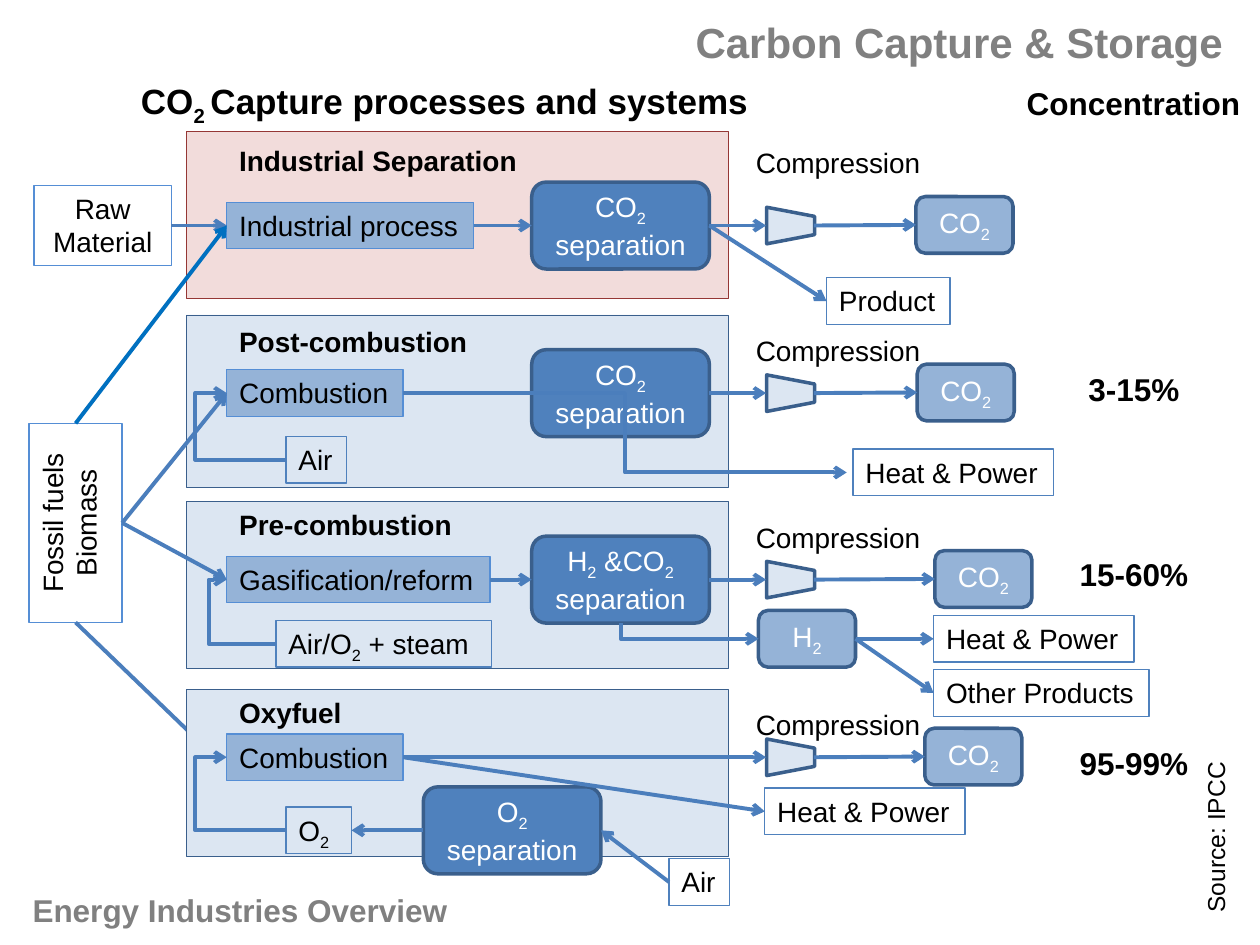
import pptx
import pptx.dml.color
import pptx.enum.shapes
import pptx.enum.text
import pptx.oxml.ns
import pptx.util
from lxml import etree

Inches, Pt = pptx.util.Inches, pptx.util.Pt
KIND = pptx.enum.shapes.MSO_SHAPE
LINK = pptx.enum.shapes.MSO_CONNECTOR
ALIGN = pptx.enum.text.PP_ALIGN
ANCHOR = pptx.enum.text.MSO_ANCHOR
FIT = pptx.enum.text.MSO_AUTO_SIZE
qn = pptx.oxml.ns.qn

THEME = {
    "font": "Arial", "ink": "000000", "light": "FFFFFF", "grey": "808080",
    "flow": "4B7EBC", "feed": "0070C0", "flow_w": 2.25,
    "body": 16, "note": 14, "big": 18, "sub": 20, "title": 24,
}
# style: preset, fill, line, line width, text colour, centred, wrapped
STYLES = {
    "red": (KIND.RECTANGLE, "F2DCDB", "953735", 0.5, "ink", False, True),
    "blue": (KIND.RECTANGLE, "DCE6F2", "3A5F8C", 0.5, "ink", False, True),
    "step": (KIND.RECTANGLE, "95B3D7", "558ED5", 0.75, "ink", False, False),
    "plain": (KIND.RECTANGLE, None, "4F81BD", 0.75, "ink", False, False),
    "feed": (KIND.RECTANGLE, None, "558ED5", 0.75, "ink", True, True),
    "split": (KIND.ROUNDED_RECTANGLE, "4F81BD", "3A5F8C", 2, "light", True, True),
    "gas": (KIND.ROUNDED_RECTANGLE, "95B3D7", "3A5F8C", 2, "light", True, True),
    "press": (KIND.TRAPEZOID, "DCE6F2", "3A5F8C", 2, "ink", False, True),
}
HIGH = {"step": 0.37, "plain": 0.37, "split": 0.69, "gas": 0.45}
TOP, LEFT, BOTTOM, RIGHT = range(4)

# Text between tildes is subscript.
TITLE = ("Carbon Capture & Storage", 5.42, 0.08, 4.43, 0.5)
FEEDS = {
    "fossil": ("Fossil fuels Biomass", 0.23, 3.36, 0.74, 1.58),
    "raw": ("Raw Material", 0.27, 1.47, 1.09, 0.64),
}
# panel style, top, height, heading, heading top, heading width, flow centre,
# compression label top, left of CO2 box
STAGES = {
    "ind": ("red", 1.04, 1.33, "Industrial Separation", 1.09, 2.44, 1.79, 1.11, 7.27),
    "post": ("blue", 2.5, 1.37, "Post-combustion", 2.53, 2.03, 3.12, 2.6, 7.28),
    "pre": ("blue", 3.98, 1.33, "Pre-combustion", 3.98, 1.91, 4.6, 4.08, 7.42),
    "oxy": ("blue", 5.47, 1.33, "Oxyfuel", 5.47, 1.03, 6.01, 5.57, 7.34),
}
# name: style, text, left, vertical centre, width
BOXES = {
    "ind step": ("step", "Industrial process", 1.8, 1.79, 1.96),
    "post step": ("step", "Combustion", 1.8, 3.12, 1.4),
    "pre step": ("step", "Gasification/reform", 1.8, 4.6, 2.09),
    "oxy step": ("step", "Combustion", 1.8, 6.01, 1.4),
    "ind split": ("split", "CO~2~ separation", 4.22, 1.79, 1.41),
    "post split": ("split", "CO~2~ separation", 4.22, 3.12, 1.41),
    "pre split": ("split", "H~2~ &CO~2~ separation", 4.22, 4.6, 1.41),
    "oxy split": ("split", "O~2~ separation", 3.36, 6.59, 1.41),
    "product": ("plain", "Product", 6.56, 2.39, 0.98),
    "post air": ("plain", "Air", 2.27, 3.65, 0.48),
    "post heat": ("plain", "Heat & Power", 6.77, 3.75, 1.59),
    "steam": ("plain", "Air/O~2~ + steam", 2.19, 5.11, 1.71),
    "hydrogen": ("gas", "H~2~", 6.02, 5.07, 0.77),
    "pre heat": ("plain", "Heat & Power", 7.41, 5.07, 1.59),
    "other": ("plain", "Other Products", 7.41, 5.5, 1.71),
    "oxygen": ("plain", "O~2~", 2.27, 6.59, 0.52),
    "oxy air": ("plain", "Air", 5.31, 7, 0.48),
    "oxy heat": ("plain", "Heat & Power", 6.07, 6.44, 1.59),
}
# text, left, top, width, height, size, bold, colour
LABELS = [
    ("CO~2 ~Capture processes and systems", 1.02, 0.58, 5.08, 0.44, "sub", True, "ink"),
    ("Concentration", 8.05, 0.62, 1.91, 0.4, "big", True, "ink"),
    ("3-15%", 8.54, 2.89, 0.93, 0.4, "big", True, "ink"),
    ("15-60%", 8.47, 4.36, 1.07, 0.4, "big", True, "ink"),
    ("95-99%", 8.47, 5.86, 1.07, 0.4, "big", True, "ink"),
    ("Energy Industries Overview", 0.16, 7.02, 8.59, 0.4, "big", True, "grey"),
]
SOURCE = ("Source: IPCC", 9.48, 6.04, 0.44, 1.3, "note", False, "ink")
# start, start side, end, end side
FLOWS = [
    ("raw", RIGHT, "ind step", LEFT),
    ("ind step", RIGHT, "ind split", LEFT),
    ("ind split", RIGHT, "ind press", LEFT),
    ("ind split", RIGHT, "product", LEFT),
    ("post split", RIGHT, "post press", LEFT),
    ("fossil", RIGHT, "post step", LEFT),
    ("fossil", RIGHT, "pre step", LEFT),
    ("pre step", RIGHT, "pre split", LEFT),
    ("pre split", RIGHT, "pre press", LEFT),
    ("hydrogen", RIGHT, "pre heat", LEFT),
    ("hydrogen", RIGHT, "other", LEFT),
    ("oxy air", LEFT, "oxy split", RIGHT),
    ("oxy split", LEFT, "oxygen", RIGHT),
    ("oxy step", RIGHT, "oxy press", LEFT),
    ("oxy step", RIGHT, "oxy heat", LEFT),
]
# as above, then where the bend lies as a share of the width
BENDS = [
    ("post step", RIGHT, (6.72, 3.75), None, 0.5),
    ("post air", LEFT, "post step", LEFT, 1.53),
    ("steam", LEFT, "pre step", LEFT, 1.37),
    ("oxygen", LEFT, "oxy step", LEFT, 1.53),
]

deck = pptx.Presentation()
deck.slide_width, deck.slide_height = Inches(10), Inches(7.5)
slide = deck.slides.add_slide(deck.slide_layouts[5])
shapes = slide.shapes
spots = {}  # name: (shape or None, left, top, width, height)


def rgb(code):
    return pptx.dml.color.RGBColor.from_string(code)


def write(shape, text, size="body", color="ink", bold=False, center=False,
          wrap=False, anchor=ANCHOR.TOP, turn=False):
    frame = shape.text_frame
    frame.word_wrap, frame.vertical_anchor = wrap, anchor
    frame.auto_size = FIT.NONE
    if turn:
        shape.element.xpath(".//a:bodyPr")[0].set("vert", "vert270")
    para = frame.paragraphs[0]
    para.alignment = ALIGN.CENTER if center else ALIGN.LEFT
    for i, part in enumerate(text.split("~")):
        if not part:
            continue
        run = para.add_run()
        run.text = part
        font = run.font
        font.name, font.size, font.bold = THEME["font"], Pt(THEME[size]), bold
        font.color.rgb = rgb(THEME[color])
        if i % 2:
            font._element.set("baseline", "-25000")


def label(text, x, y, w, h, size="body", bold=False, color="ink", turn=False):
    box = shapes.add_textbox(*map(Inches, (x, y, w, h)))
    write(box, text, size, color, bold, turn=turn)


def box(name, style, text, x, y, w, h, turn=False):
    kind, fill, line, thick, color, center, wrap = STYLES[style]
    shape = shapes.add_shape(kind, *map(Inches, (x, y, w, h)))
    shape.shadow.inherit = False
    if fill:
        shape.fill.solid()
        shape.fill.fore_color.rgb = rgb(fill)
    else:
        shape.fill.background()
    shape.line.color.rgb, shape.line.width = rgb(line), Pt(thick)
    if text:
        mid = ANCHOR.MIDDLE if color == "light" else ANCHOR.TOP
        write(shape, text, "body", color, False, center, wrap, mid, turn)
    spots[name] = (shape, x, y, w, h)
    return shape


def locate(end, side):
    if side is None:
        return end
    x, y, w, h = spots[end][1:]
    return [(x + w / 2, y), (x, y + h / 2), (x + w / 2, y + h), (x + w, y + h / 2)][side]


def flow(start, out, end, into, kind=LINK.STRAIGHT, color="flow"):
    points = locate(start, out) + locate(end, into)
    line = shapes.add_connector(kind, *map(Inches, points))
    for name, side, join in ((start, out, line.begin_connect), (end, into, line.end_connect)):
        if side is not None and spots[name][0] is not None:
            join(spots[name][0], side)
    line.line.color.rgb, line.line.width = rgb(THEME[color]), Pt(THEME["flow_w"])
    etree.SubElement(line.line._get_or_add_ln(), qn("a:tailEnd"), type="arrow")
    etree.SubElement(line.element.spPr, qn("a:effectLst"))
    return line


def corner(line, start, end):
    """Make the connector go down from start, then right to end."""
    (x1, y1), (x2, y2) = start, end
    w, h = y2 - y1, x2 - x1
    line.left, line.top = Inches((x1 + x2 - w) / 2), Inches((y1 + y2 - h) / 2)
    line.width, line.height = Inches(w), Inches(h)
    frame = line.element.spPr.find(qn("a:xfrm"))
    frame.set("rot", "16200000")
    frame.set("flipH", "1")
    line.element.spPr.find(qn("a:prstGeom")).set("prst", "bentConnector2")


title = shapes.title
title.left, title.top, title.width, title.height = map(Inches, TITLE[1:])
write(title, TITLE[0], "title", "grey", True)

for name, spot in FEEDS.items():
    box(name, "feed", *spot, turn=name == "fossil")
flow("fossil", BOTTOM, (1.72, 6.02), None)  # runs under the oxyfuel panel

for name, (style, top, high, head, y, w, mid, press, gas) in STAGES.items():
    box(name, style, "", 1.48, top, 4.3, high)
    label(head, 1.8, y, w, 0.37, bold=True)
    label("Compression", 5.9, press, 1.52, 0.37)
    box(name + " press", "press", "", 6.13, mid - 0.19, 0.29, 0.38).rotation = 90
    spots[name + " press"] = (None, 6.08, mid - 0.15, 0.38, 0.3)
    box(name + " gas", "gas", "CO~2~", gas, mid - 0.23, 0.77, 0.45)
    flow(name + " press", RIGHT, name + " gas", LEFT)

for name, (style, text, x, mid, w) in BOXES.items():
    high = HIGH[style]
    box(name, style, text, x, mid - high / 2, w, high)
for item in LABELS:
    label(*item)
label(*SOURCE, turn=True)

for item in FLOWS:
    flow(*item)
for *ends, bend in BENDS:
    line = flow(*ends, kind=LINK.ELBOW)
    guides = line.element.spPr.find(qn("a:prstGeom")).find(qn("a:avLst"))
    etree.SubElement(guides, qn("a:gd"), name="adj1", fmla=f"val {round(bend * 100000)}")
drop = flow("pre split", BOTTOM, "hydrogen", LEFT, LINK.ELBOW)
corner(drop, locate("pre split", BOTTOM), locate("hydrogen", LEFT))
flow("fossil", TOP, "ind step", LEFT, color="feed")

deck.save("out.pptx")
